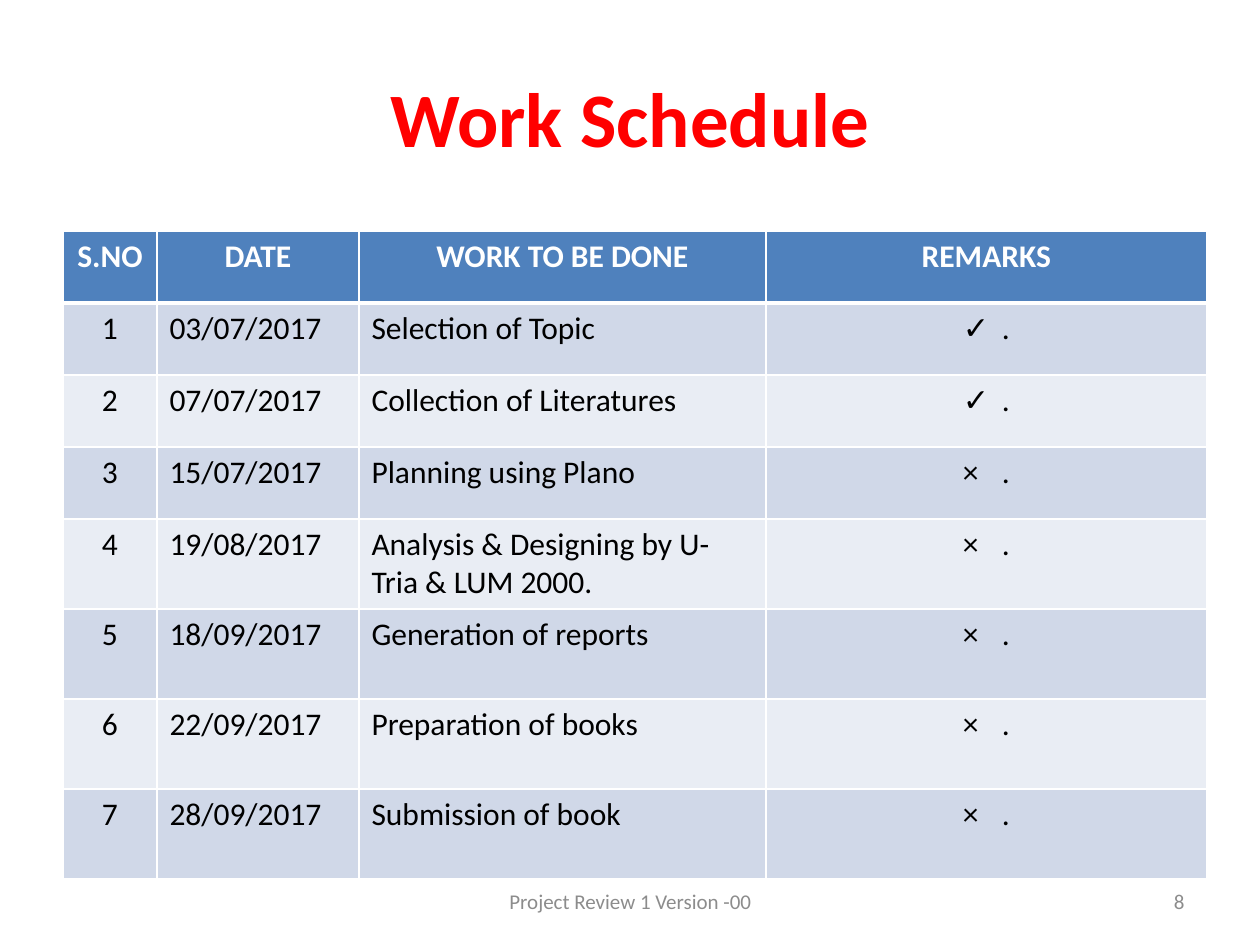
from lxml.etree import SubElement
from pptx import Presentation
from pptx.dml.color import RGBColor
from pptx.enum.text import MSO_ANCHOR, PP_ALIGN
from pptx.oxml.ns import qn
from pptx.util import Emu, Pt

SCALE = 914400 // 126
WHITE, BLACK, RED, GRAY = "FFFFFF", "000000", "FF0000", "8C8C8C"
HEADER_FILL, BAND_FILLS = "4F81BD", ("D0D8E8", "E9EDF4")
LEFT, CENTER, RIGHT = PP_ALIGN.LEFT, PP_ALIGN.CENTER, PP_ALIGN.RIGHT
DONE, PENDING = "✓", "×"


def pixels(count):
    """Turn whole pixels into EMU."""
    return Emu(count * SCALE)


def color(value):
    """Turn a hex string into a colour."""
    return RGBColor.from_string(value)


def assign(target, **values):
    """Set attributes from format values."""
    for name, value in values.items():
        setattr(target, name, value)


class SlideBuilder:
    """Holds the style and the current slide."""

    font_name = "Calibri"

    def __init__(self, slide):
        """Keep the slide to draw on."""
        self.slide = slide

    def fill_text(self, frame, text, size, text_color, bold=False, align=LEFT):
        """Fill the first paragraph of a frame and return it."""
        paragraph = frame.paragraphs[0]
        paragraph.alignment = align
        run = paragraph.add_run()
        run.text = text
        assign(run.font, name=self.font_name, size=Pt(size), bold=bold)
        run.font.color.rgb = color(text_color)
        return paragraph

    def text(self, box, text, size, text_color, **style):
        """Add a vertically centred text box."""
        shape = self.slide.shapes.add_textbox(*map(pixels, box))
        assign(shape.text_frame, word_wrap=True, vertical_anchor=MSO_ANCHOR.MIDDLE)
        self.fill_text(shape.text_frame, text, size, text_color, **style)

    def bullet(self, paragraph, mark):
        """Give a paragraph a hanging bullet mark."""
        properties = paragraph._p.get_or_add_pPr()
        indent = pixels(39)
        properties.set("marL", str(indent))
        properties.set("indent", str(-indent))
        SubElement(properties, qn("a:buFont"), typeface=self.font_name)
        SubElement(properties, qn("a:buChar"), char=mark)

    def borders(self, cell, **widths):
        """Draw white cell borders with widths in points by side."""
        properties = cell._tc.get_or_add_tcPr()
        for side in "LRTB":
            line = SubElement(properties, qn(f"a:ln{side}"), w=str(Pt(widths.get(side, 1))))
            fill = SubElement(line, qn("a:solidFill"))
            SubElement(fill, qn("a:srgbClr"), val=WHITE)

    def cell(self, cell, text, fill, text_color, mark=None, widths=None, **style):
        """Format one table cell."""
        self.borders(cell, **(widths or {}))
        cell.fill.solid()
        cell.fill.fore_color.rgb = color(fill)
        paragraph = self.fill_text(cell.text_frame, text, 18, text_color, **style)
        if mark:
            self.bullet(paragraph, mark)

    def table(self, left, top, widths, heights, headers, tasks):
        """Add the schedule with a header and banded rows."""
        box = map(pixels, (left, top, sum(widths), sum(heights)))
        table = self.slide.shapes.add_table(len(heights), len(widths), *box).table
        for column, width in zip(table.columns, widths):
            column.width = pixels(width)
        for row, height in zip(table.rows, heights):
            row.height = pixels(height)
        for column, header in enumerate(headers):
            self.cell(table.cell(0, column), header, HEADER_FILL, WHITE,
                      widths={"B": 3}, bold=True, align=CENTER)
        for number, (date, work, mark) in enumerate(tasks, 1):
            fill = BAND_FILLS[(number - 1) % 2]
            edges = {"T": 3} if number == 1 else {}
            for column, text in enumerate((str(number), date, work, ".")):
                self.cell(table.cell(number, column), text, fill, BLACK,
                          mark=mark if column == 3 else None, widths=edges,
                          align=CENTER if column in (0, 3) else LEFT)


def main():
    """Build and save the work schedule."""
    presentation = Presentation()
    assign(presentation, slide_width=pixels(1260), slide_height=pixels(945))
    builder = SlideBuilder(presentation.slides.add_slide(presentation.slide_layouts[6]))
    builder.text((63, 38, 1134, 158), "Work Schedule", 44, RED, bold=True, align=CENTER)
    tasks = [
        ("03/07/2017", "Selection of Topic", DONE),
        ("07/07/2017", "Collection of Literatures", DONE),
        ("15/07/2017", "Planning using Plano", PENDING),
        ("19/08/2017", "Analysis & Designing by U-Tria & LUM 2000.", PENDING),
        ("18/09/2017", "Generation of reports", PENDING),
        ("22/09/2017", "Preparation of books", PENDING),
        ("28/09/2017", "Submission of book", PENDING),
    ]
    builder.table(63, 231, (94, 202, 407, 441), [72] * 4 + [90] * 4,
                  ("S.NO", "DATE", "WORK TO BE DONE", "REMARKS"), tasks)
    builder.text((903, 876, 294, 50), "8", 12, GRAY, align=RIGHT)
    builder.text((431, 876, 399, 50), "Project Review 1 Version -00", 12, GRAY, align=CENTER)
    presentation.save("out.pptx")


main()
